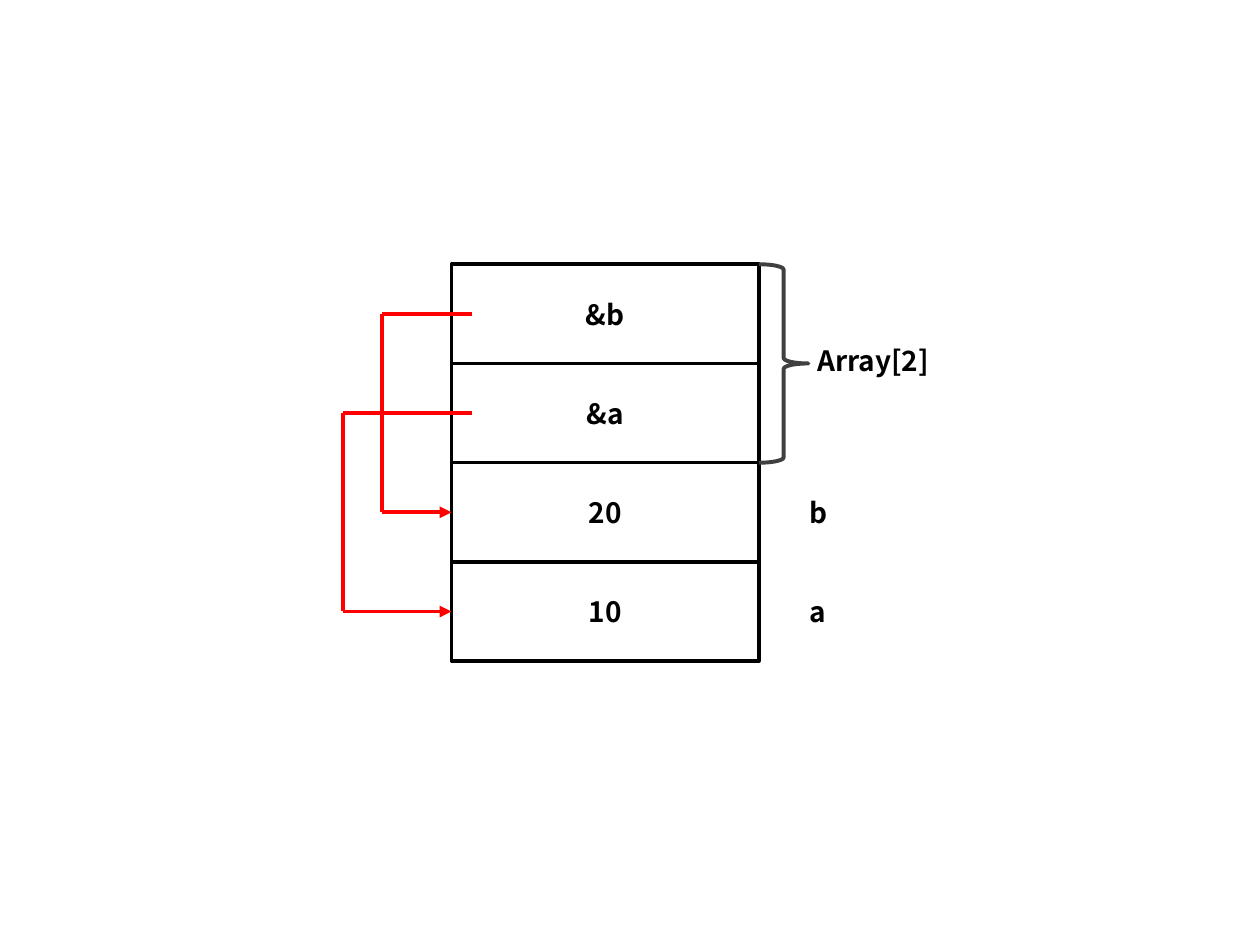
from dataclasses import dataclass

from lxml.etree import SubElement
from pptx import Presentation
from pptx.dml.color import RGBColor
from pptx.enum.shapes import MSO_CONNECTOR, MSO_SHAPE
from pptx.enum.text import MSO_ANCHOR, PP_ALIGN
from pptx.oxml.ns import qn
from pptx.util import Pt


@dataclass(frozen=True)
class Theme:
    font: str = "Noto Sans CJK KR"
    text_size: float = 16
    ink: RGBColor = RGBColor(0, 0, 0)
    brace: RGBColor = RGBColor(0x40, 0x40, 0x40)
    pointer: RGBColor = RGBColor(0xFF, 0, 0)
    cell_line: float = 2
    accent_line: float = 2.25


class MemoryDiagram:
    def __init__(self, slide, theme):
        self.shapes = slide.shapes
        self.theme = theme

    def caption(self, shape, text):
        frame = shape.text_frame
        frame.text = text
        frame.word_wrap = True
        frame.vertical_anchor = MSO_ANCHOR.MIDDLE
        paragraph = frame.paragraphs[0]
        paragraph.alignment = PP_ALIGN.CENTER
        font = paragraph.runs[0].font
        font.name = self.theme.font
        font.size = Pt(self.theme.text_size)
        font.bold = True
        font.color.rgb = self.theme.ink

    def outline(self, preset, box, color, weight):
        shape = self.shapes.add_shape(preset, *map(Pt, box))
        shape.shadow.inherit = False
        shape.fill.background()
        shape.line.color.rgb = color
        shape.line.width = Pt(weight)
        return shape

    def cell(self, text, *box):
        cell = self.outline(MSO_SHAPE.RECTANGLE, box, self.theme.ink, self.theme.cell_line)
        self.caption(cell, text)

    def label(self, text, *box):
        self.caption(self.shapes.add_textbox(*map(Pt, box)), text)

    def brace(self, *box):
        brace = self.outline(MSO_SHAPE.RIGHT_BRACE, box, self.theme.brace, self.theme.accent_line)
        brace.adjustments[0] = 0.107

    def segment(self, start, end, arrow=False):
        segment = self.shapes.add_connector(MSO_CONNECTOR.STRAIGHT, *map(Pt, start + end))
        segment.line.color.rgb = self.theme.pointer
        segment.line.width = Pt(self.theme.accent_line)
        properties = segment._element.spPr
        if arrow:
            SubElement(properties.find(qn("a:ln")), qn("a:tailEnd"), type="triangle")
        SubElement(properties, qn("a:effectLst"))

    def pointer(self, start, lane, target):
        corners = [start, (lane, start[1]), (lane, target[1]), target]
        for index in range(3):
            self.segment(corners[index], corners[index + 1], arrow=index == 2)


presentation = Presentation()
presentation.slide_width, presentation.slide_height = Pt(720), Pt(540)
slide = presentation.slides.add_slide(presentation.slide_layouts[6])
diagram = MemoryDiagram(slide, Theme())

# Memory grid
LEFT, TOP, WIDTH, ROW = 258, 151, 175.7, 56.7
RIGHT = LEFT + WIDTH


def row_top(row):
    return TOP + row * ROW


def row_middle(row):
    return row_top(row + 0.5)


# Memory cells with their variable names
for row, (value, variable) in enumerate([("&b", ""), ("&a", ""), ("20", "b"), ("10", "a")]):
    diagram.cell(value, LEFT, row_top(row), WIDTH, ROW)
    if variable:
        diagram.label(variable, RIGHT, row_top(row), 67.7, ROW)

# Array spanning the first two cells
diagram.label("Array[2]", 456.5, 177.8, 85, ROW)
diagram.brace(RIGHT, TOP, 28.3, 2 * ROW)

# Pointers from each address to the cell two rows below
for row, lane in enumerate([218.2, 195.8]):
    diagram.pointer((LEFT + 11.5, row_middle(row)), lane, (LEFT, row_middle(row + 2)))

presentation.save("out.pptx")
